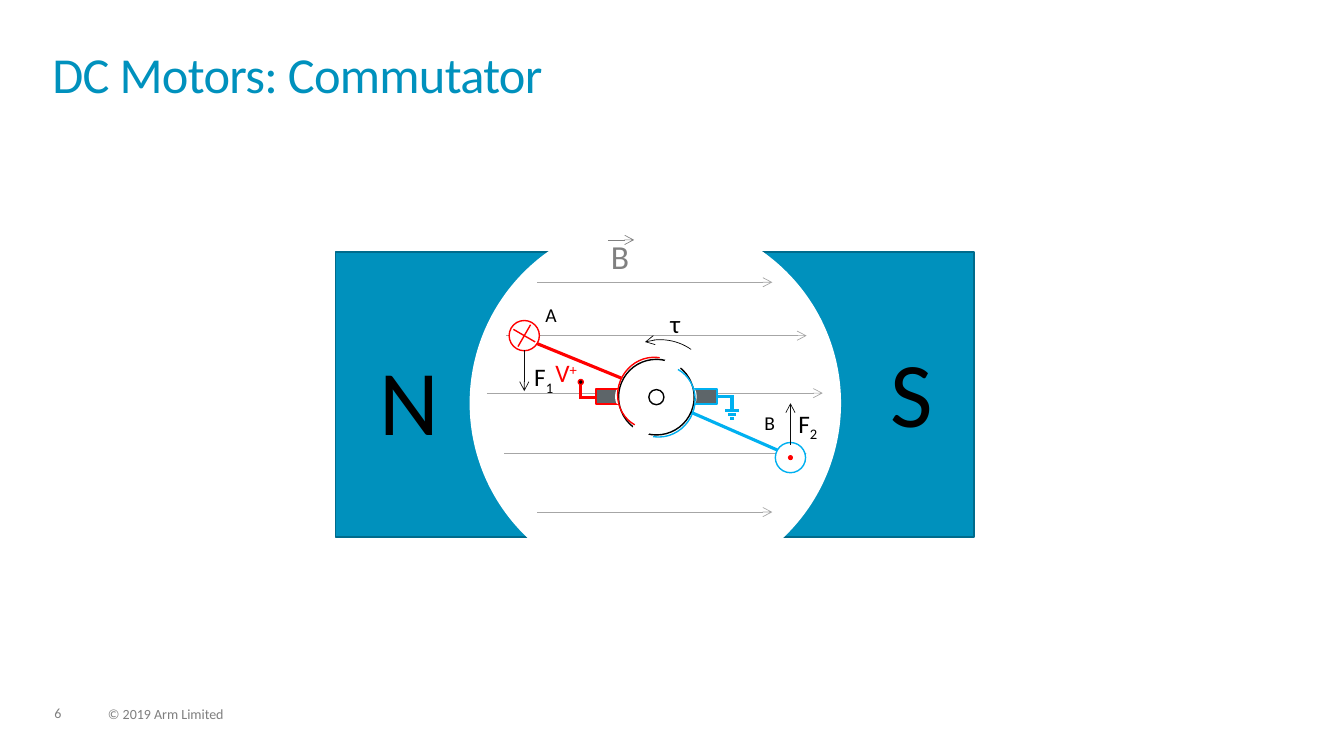
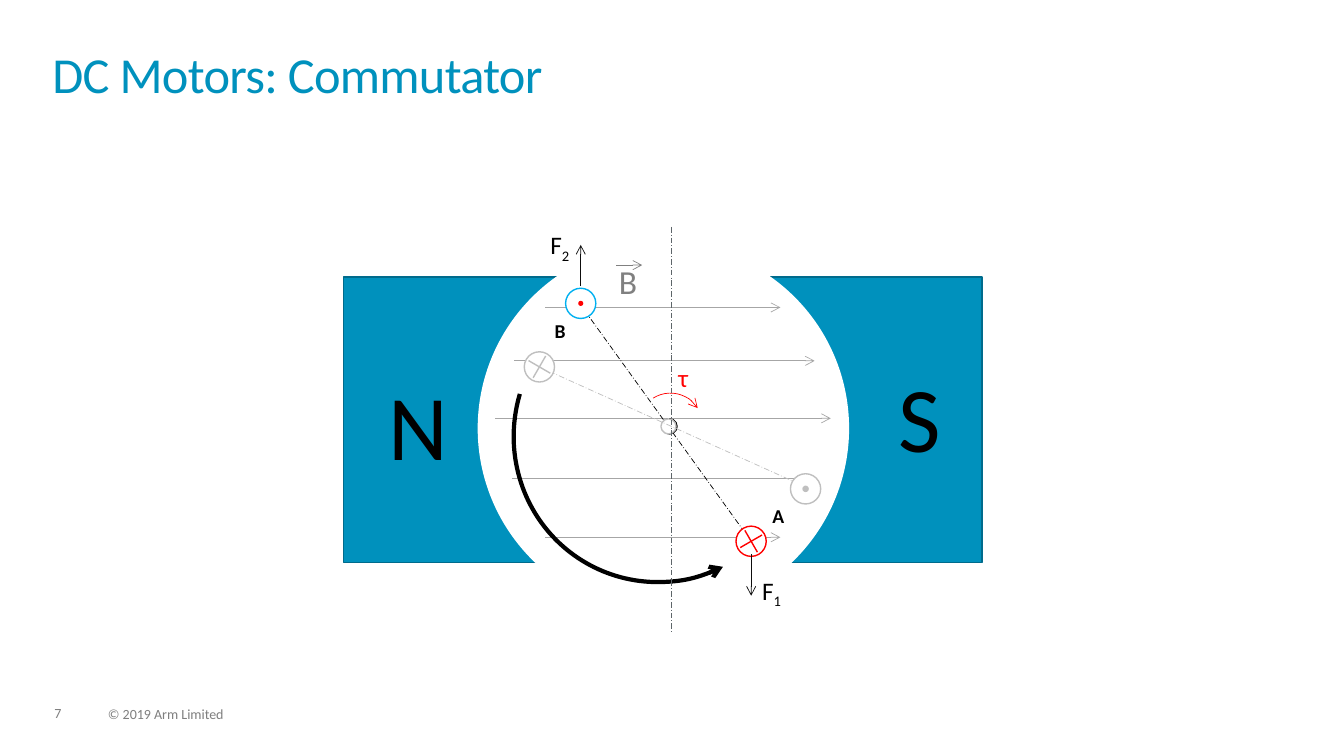
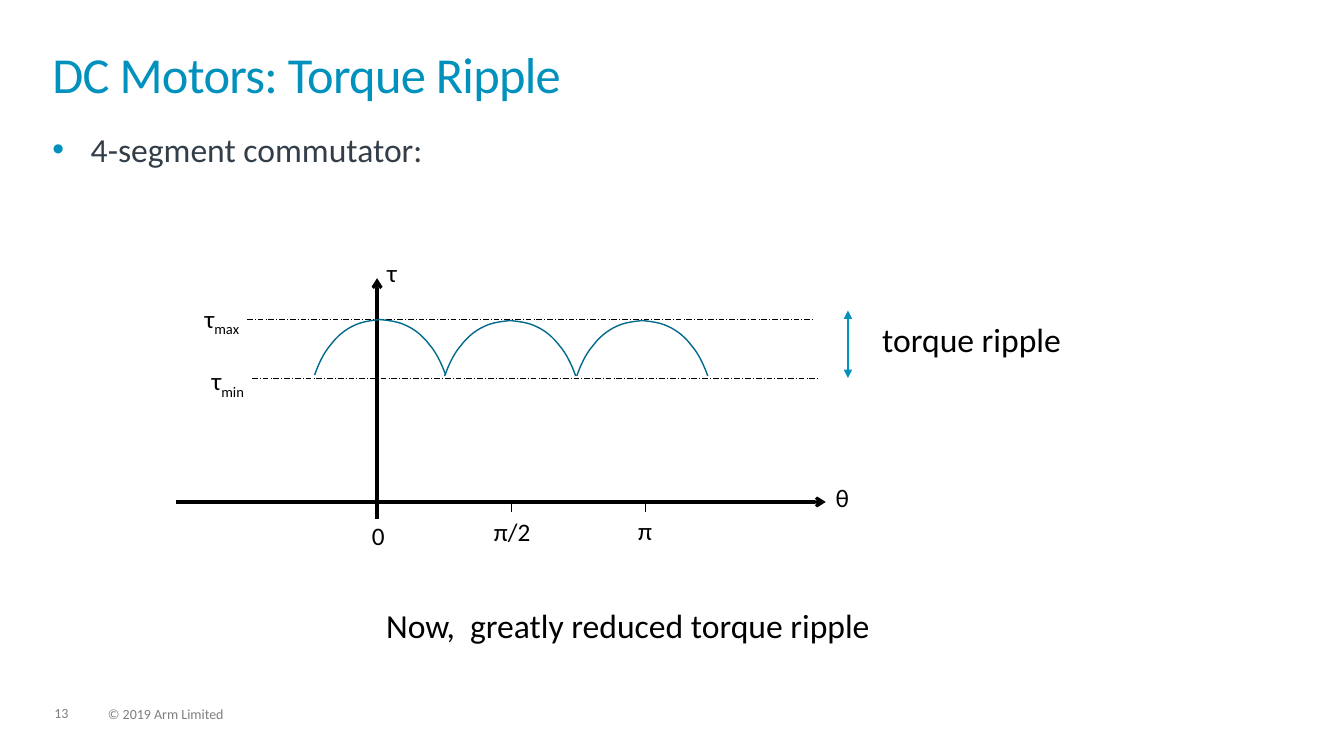
import math

import pptx
import pptx.dml.color
import pptx.enum.dml
import pptx.enum.shapes
import pptx.enum.text
import pptx.oxml
import pptx.oxml.ns
import pptx.util

Inches = pptx.util.Inches
RGBColor = pptx.dml.color.RGBColor
SHAPES = pptx.enum.shapes.MSO_SHAPE
LONG_DASH_DOT = pptx.enum.dml.MSO_LINE.LONG_DASH_DOT

# Shared look
FONT = "Calibri"
BLUE = RGBColor(0x00, 0x91, 0xBD)
DARK_BLUE = RGBColor(0x00, 0x6B, 0x8C)
SKY = RGBColor(0x00, 0xB0, 0xF0)
RED = RGBColor(0xFF, 0x00, 0x00)
BLACK = RGBColor(0x00, 0x00, 0x00)
WHITE = RGBColor(0xFF, 0xFF, 0xFF)
INK = RGBColor(0x33, 0x3E, 0x48)
NEAR_BLACK = RGBColor(0x0D, 0x0D, 0x0D)
DARK_GRAY = RGBColor(0x5D, 0x65, 0x69)
FOOTER_GRAY = RGBColor(0x7F, 0x7F, 0x7F)
LABEL_GRAY = RGBColor(0x80, 0x80, 0x80)
FIELD_GRAY = RGBColor(0xA6, 0xA6, 0xA6)
GHOST_GRAY = RGBColor(0xBF, 0xBF, 0xBF)

CONDUCTOR_SIZE = 0.3
FORCE_LENGTH = 0.41

# Right half of a torque arch from its peak: start, then three points per Bezier curve
HALF_ARCH = ((0, 0), (0.09, 0.01), (0.18, 0.02), (0.26, 0.06),
             (0.35, 0.1), (0.43, 0.17), (0.49, 0.25),
             (0.56, 0.33), (0.61, 0.44), (0.65, 0.55))


# Basic elements
def format_run(run, size, color, bold=False):
    run.font.name = FONT
    run.font.size = pptx.util.Pt(size)
    run.font.color.rgb = color
    run.font.bold = bold


def add_label(slide, left, top, width, height, text, size=18, color=BLACK,
              script="", baseline=-25, inset=True, bold=False):
    box = slide.shapes.add_textbox(
        Inches(left), Inches(top), Inches(width), Inches(height))
    frame = box.text_frame
    frame.word_wrap = True
    if not inset:
        frame.margin_left = frame.margin_right = 0
        frame.margin_top = frame.margin_bottom = 0
    paragraph = frame.paragraphs[0]
    paragraph.text = text
    format_run(paragraph.runs[0], size, color, bold)
    if script:
        run = paragraph.add_run()
        run.text = script
        format_run(run, size, color, bold)
        run.font._element.set("baseline", str(baseline * 1000))
    return paragraph


def style_line(shape, color, width, head=None, tail=None, dash=None):
    shape.line.color.rgb = color
    shape.line.width = pptx.util.Pt(width)
    if dash is not None:
        shape.line.dash_style = dash
    line = shape.line._get_or_add_ln()
    for tag, kind in (("a:headEnd", head), ("a:tailEnd", tail)):
        if kind:
            end = pptx.oxml.ns.qn(tag)
            line.append(line.makeelement(end, {"type": kind}))


def add_line(slide, start, end, color, width=0.5, head=None, tail=None, dash=None):
    connector = slide.shapes.add_connector(
        pptx.enum.shapes.MSO_CONNECTOR.STRAIGHT,
        Inches(start[0]), Inches(start[1]), Inches(end[0]), Inches(end[1]))
    style_line(connector, color, width, head, tail, dash)
    properties = connector._element.spPr
    properties.append(properties.makeelement(pptx.oxml.ns.qn("a:effectLst"), {}))


def add_shape(slide, kind, left, top, width, height, fill=None, line=None, rotation=0):
    shape = slide.shapes.add_shape(
        kind, Inches(left), Inches(top), Inches(width), Inches(height))
    shape.shadow.inherit = False
    shape.rotation = rotation
    if fill is None:
        shape.fill.background()
    else:
        shape.fill.solid()
        shape.fill.fore_color.rgb = fill
    if line is None:
        shape.line.fill.background()
    else:
        style_line(shape, line, 1)
    return shape


def add_circle(slide, center, diameter, fill, line=None):
    x, y = center
    add_shape(slide, SHAPES.OVAL, x - diameter / 2, y - diameter / 2,
              diameter, diameter, fill, line)


def add_arc(slide, left, top, width, height, rotation, color, line_width,
            angles=None, head=None, tail=None):
    arc = add_shape(slide, SHAPES.ARC, left, top, width, height, rotation=rotation)
    if angles:
        arc.adjustments[0], arc.adjustments[1] = angles
    style_line(arc, color, line_width, head, tail)


def start_slide(presentation, title, number):
    slide = presentation.slides.add_slide(presentation.slide_layouts[6])
    footers = ((0.54, 7.01, 0.34, str(number)),
               (1.07, 7.02, 1.71, "© 2019 Arm Limited"))
    for left, top, width, text in footers:
        paragraph = add_label(slide, left, top, width, 0.15, text, 10,
                              FOOTER_GRAY, inset=False)
        paragraph.line_spacing = 0.9
    paragraph = add_label(slide, 0.52, 0.52, 12.28, 0.72, title, 36, BLUE, inset=False)
    paragraph.line_spacing = 0.85
    paragraph.runs[0].font._element.set("spc", "-50")
    return slide


# Motor parts
def add_magnet(slide, left, top):
    """Magnet, gap, field lines and pole letters, from the magnet's corner."""
    add_shape(slide, SHAPES.RECTANGLE, left, top, 6.33, 2.83, BLUE, DARK_BLUE)
    add_circle(slide, (left + 3.17, top + 1.5), 3.67, WHITE, WHITE)
    field_lines = ((2, 4.33, 0.3), (1.69, 4.67, 0.83), (1.5, 4.83, 1.4),
                   (1.67, 4.67, 2), (2, 4.33, 2.58))
    for start, end, y in field_lines:
        add_line(slide, (left + start, top + y), (left + end, top + y),
                 FIELD_GRAY, tail="arrow")
    for letter, x, y in (("N", 0.34, 0.83), ("S", 5.37, 0.75)):
        pole = add_shape(slide, SHAPES.RECTANGLE, left + x, top + y, 0.68, 1.25, BLUE)
        pole.text_frame.text = letter
        pole.text_frame.vertical_anchor = pptx.enum.text.MSO_ANCHOR.MIDDLE
        paragraph = pole.text_frame.paragraphs[0]
        paragraph.alignment = pptx.enum.text.PP_ALIGN.CENTER
        format_run(paragraph.runs[0], 66, BLACK)
    add_label(slide, left + 2.63, top - 0.21, 0.43, 0.5, "B", 24, LABEL_GRAY)
    add_line(slide, (left + 2.7, top - 0.12), (left + 2.96, top - 0.12),
             LABEL_GRAY, tail="arrow")


def add_cross_conductor(slide, center, color, tilt):
    add_circle(slide, center, CONDUCTOR_SIZE, WHITE, color)
    for angle in (tilt, tilt + 90):
        dx = 0.125 * math.cos(math.radians(angle))
        dy = 0.125 * math.sin(math.radians(angle))
        add_line(slide, (center[0] - dx, center[1] - dy),
                 (center[0] + dx, center[1] + dy), color, 1)


def add_dot_conductor(slide, center, color, dot, dot_line=None):
    add_circle(slide, center, CONDUCTOR_SIZE, WHITE, color)
    add_circle(slide, center, 0.05, dot, dot_line)


def add_force(slide, x, y, direction):
    add_line(slide, (x, y), (x, y + direction * FORCE_LENGTH), NEAR_BLACK, tail="arrow")


def add_commutator(slide):
    # Brushes
    for left, cut, color in ((6.89, 6.86, SKY), (5.91, 6.1, RED)):
        add_shape(slide, SHAPES.RECTANGLE, left, 3.86, 0.22, 0.15, DARK_GRAY, color)
        add_shape(slide, SHAPES.OVAL, cut, 3.86, 0.05, 0.15, WHITE)
    # Split ring and shaft
    add_circle(slide, (6.51, 3.94), 0.75, WHITE, BLACK)
    for left, top in ((6.59, 3.5), (6.26, 4.18)):
        add_shape(slide, SHAPES.RECTANGLE, left, top, 0.17, 0.22, WHITE, rotation=30)
    add_circle(slide, (6.51, 3.94), 0.15, WHITE, BLACK)
    # Supply
    add_label(slide, 5.41, 3.5, 0.7, 0.4, "V", color=RED, script="+", baseline=30)
    add_line(slide, (5.91, 3.94), (5.76, 3.94), RED, 2.25)
    add_line(slide, (5.76, 3.96), (5.76, 3.81), RED, 2.25)
    add_circle(slide, (5.76, 3.79), 0.05, BLACK, RED)
    # Ground
    add_line(slide, (7.11, 3.93), (7.26, 3.93), SKY, 2.25)
    add_line(slide, (7.26, 3.92), (7.26, 4.07), SKY, 2.25)
    for half, y in ((0.07, 4.07), (0.04, 4.11), (0.02, 4.15)):
        add_line(slide, (7.26 + half, y), (7.26 - half, y), SKY, 2.25)


# Slides
def build_commutator_slide(presentation):
    slide = start_slide(presentation, "DC Motors: Commutator", 6)
    add_magnet(slide, 3.33, 2.5)
    add_line(slide, (6.83, 4.08), (7.95, 4.57), SKY, 2.25)
    add_cross_conductor(slide, (5.2, 3.33), RED, 30)
    add_dot_conductor(slide, (7.84, 4.54), SKY, RED)
    add_force(slide, 5.2, 3.47, 1)
    add_force(slide, 7.84, 4.41, -1)
    add_label(slide, 5.2, 3.54, 0.44, 0.4, "F", script="1")
    add_label(slide, 7.82, 4, 0.44, 0.4, "F", script="2")
    add_commutator(slide)
    add_arc(slide, 6.02, 3.37, 1.06, 1.06, 327.6, BLACK, 0.5,
            (171.42, 202.51), head="arrow")
    add_label(slide, 6.55, 3.01, 0.44, 0.4, "τ")
    add_arc(slide, 6.21, 3.62, 0.68, 0.72, 29, SKY, 1, (162, 43.63))
    add_line(slide, (5.33, 3.41), (6.16, 3.75), RED, 2.25)
    add_arc(slide, 6.13, 3.54, 0.68, 0.72, 209, RED, 1, (162, 43.63))
    add_label(slide, 5.41, 3, 0.25, 0.25, "A", 14, inset=False)
    add_label(slide, 7.58, 4.08, 0.25, 0.25, "B", 14, inset=False)


def build_rotation_slide(presentation):
    slide = start_slide(presentation, "DC Motors: Commutator", 7)
    add_magnet(slide, 3.41, 2.75)
    # Coil after the turn
    add_circle(slide, (6.64, 4.23), 0.15, WHITE, BLACK)
    add_line(slide, (7.45, 5.37), (5.69, 2.93), BLACK, dash=LONG_DASH_DOT)
    add_cross_conductor(slide, (7.45, 5.37), RED, -30)
    add_dot_conductor(slide, (5.76, 3.01), SKY, RED)
    add_label(slide, 7.46, 5.66, 0.44, 0.4, "F", script="1")
    add_label(slide, 5.36, 2.23, 0.44, 0.4, "F", script="2")
    # Coil before the turn
    add_circle(slide, (6.63, 4.23), 0.15, WHITE, GHOST_GRAY)
    add_line(slide, (5.35, 3.64), (8.1, 4.88), GHOST_GRAY, dash=LONG_DASH_DOT)
    add_cross_conductor(slide, (5.35, 3.64), GHOST_GRAY, 30)
    add_dot_conductor(slide, (7.99, 4.85), GHOST_GRAY, GHOST_GRAY, GHOST_GRAY)
    # Torque, forces and direction of rotation
    add_arc(slide, 6.33, 3.9, 0.64, 0.64, 327.6, RED, 0.5, tail="arrow")
    add_label(slide, 6.63, 3.55, 0.44, 0.4, "τ", color=RED)
    add_force(slide, 5.76, 2.84, -1)
    add_force(slide, 7.45, 5.5, 1)
    add_label(slide, 7.66, 5, 0.25, 0.25, "A", 14, inset=False, bold=True)
    add_label(slide, 5.5, 3.16, 0.25, 0.25, "B", 14, inset=False, bold=True)
    add_arc(slide, 5.1, 2.84, 2.89, 2.94, 208.2, BLACK, 3,
            (129.81, 208.76), head="arrow")
    add_line(slide, (6.66, 2.25), (6.66, 6.27), DARK_GRAY, dash=LONG_DASH_DOT)


def add_half_arch(slide, peak_x, peak_y, side):
    points = [(Inches(peak_x + side * x), Inches(peak_y + y)) for x, y in HALF_ARCH]
    builder = slide.shapes.build_freeform(*points[0])
    builder.add_line_segments(points[1:], close=False)
    half_arch = builder.convert_to_shape()
    # Join every three straight segments into one Bezier curve
    segments = half_arch._element.findall(".//" + pptx.oxml.ns.qn("a:lnTo"))
    for index in range(0, len(segments), 3):
        first = segments[index]
        curve = first.makeelement(pptx.oxml.ns.qn("a:cubicBezTo"), {})
        first.addprevious(curve)
        for segment in segments[index:index + 3]:
            curve.append(segment[0])
            segment.getparent().remove(segment)
    half_arch.shadow.inherit = False
    half_arch.fill.background()
    style_line(half_arch, DARK_BLUE, 1)


def add_bullet(slide, text):
    paragraph = add_label(slide, 0.52, 1.28, 12.28, 4.47, text, 24, INK, inset=False)
    properties = paragraph._element.get_or_add_pPr()
    properties.set("marL", str(Inches(0.38)))
    properties.set("indent", str(-Inches(0.38)))
    namespace = pptx.oxml.ns.nsdecls("a")
    for xml in (f'<a:buClr {namespace}><a:srgbClr val="{BLUE}"/></a:buClr>',
                f'<a:buFont {namespace} typeface="Arial"/>',
                f'<a:buChar {namespace} char="•"/>'):
        properties.append(pptx.oxml.parse_xml(xml))


def build_ripple_slide(presentation):
    slide = start_slide(presentation, "DC Motors: Torque Ripple", 13)
    add_bullet(slide, "4-segment commutator:")
    # Axes and ticks
    add_line(slide, (3.74, 5.15), (3.74, 2.76), BLACK, 2.25, tail="arrow")
    add_line(slide, (1.75, 4.98), (8.19, 4.98), BLACK, 2.25, tail="arrow")
    for x in (5.07, 6.4):
        add_line(slide, (x, 4.98), (x, 5.08), BLACK)
    axis_labels = (("τ", 3.74, 2.5, 0.58, 0.53), ("π/2", 4.8, 5.07, 0.85, 0.53),
                   ("π", 6.23, 5.06, 1.02, 0.4), ("0", 3.59, 5.11, 0.85, 0.53),
                   ("θ", 8.19, 4.74, 0.85, 0.53))
    for text, *place in axis_labels:
        add_label(slide, *place, text)
    # Torque limits
    for x, y in ((2.45, 3.17), (2.5, 3.75)):
        add_line(slide, (x, y), (x + 5.61, y), BLACK, dash=LONG_DASH_DOT)
    add_label(slide, 1.93, 2.96, 0.81, 0.53, "τ", script="max")
    add_label(slide, 2, 3.58, 0.81, 0.4, "τ", script="min")
    # Torque curve
    for peak_x, peak_y in ((3.77, 3.17), (5.06, 3.18), (6.37, 3.18)):
        for side in (-1, 1):
            add_half_arch(slide, peak_x, peak_y, side)
    # Remarks
    add_label(slide, 3.83, 6, 4.92, 0.67, "Now,  greatly reduced torque ripple",
              24, inset=False)
    add_line(slide, (8.41, 3.75), (8.41, 3.08), BLUE, 1, "triangle", "triangle")
    add_label(slide, 8.75, 3.16, 1.92, 0.67, "torque ripple", 24, inset=False)


def main():
    presentation = pptx.Presentation()
    presentation.slide_width = Inches(13.33)
    presentation.slide_height = Inches(7.5)
    build_commutator_slide(presentation)
    build_rotation_slide(presentation)
    build_ripple_slide(presentation)
    presentation.save("out.pptx")


if __name__ == "__main__":
    main()
